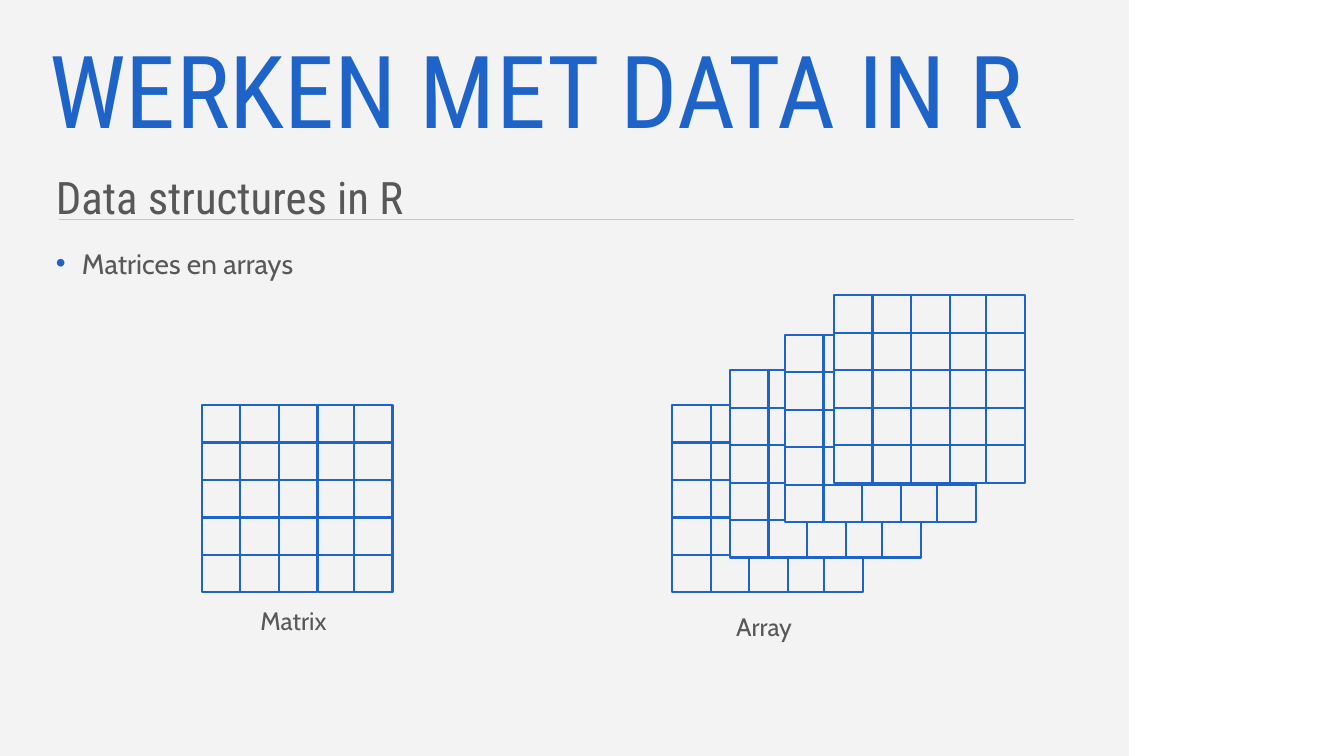
from lxml import etree
from pptx import Presentation
from pptx.dml.color import RGBColor
from pptx.enum.shapes import MSO_CONNECTOR, MSO_SHAPE
from pptx.enum.text import MSO_ANCHOR, PP_ALIGN
from pptx.oxml.ns import qn
from pptx.util import Pt

RECT = MSO_SHAPE.RECTANGLE
STRAIGHT = MSO_CONNECTOR.STRAIGHT
TOP, MIDDLE = MSO_ANCHOR.TOP, MSO_ANCHOR.MIDDLE
LEFT, CENTER = PP_ALIGN.LEFT, PP_ALIGN.CENTER

COLORS = {"panel": "F3F3F3", "rule": "C6C6C6", "text": "585858", "blue": "1E64C8"}
HEADING_FONT, BODY_FONT = "Roboto Condensed", "Cabin"

TITLE = "WERKEN MET DATA IN R"
SUBTITLE = "Data structures in R"
BULLET = "Matrices en arrays"
CAPTIONS = [("Matrix", 157.8, 428.8), ("Array", 493.9, 432.9)]

MATRIX = (144, 289.4)
ARRAY_LAYERS = [(480, 289.4), (521.4, 264.5), (560.7, 239.3), (595.7, 211)]
COLUMN_OFFSETS = [0, 27.6, 55.2, 82.9, 108.8]
ROWS = 5
CELL_W, CELL_H = 27.6, 26.75


def rgb(name):
    return RGBColor.from_string(COLORS[name])


def add_rect(x, y, w, h, line=None):
    sp = s.shapes.add_shape(RECT, Pt(x), Pt(y), Pt(w), Pt(h))
    sp.shadow.inherit = False
    sp.fill.solid()
    sp.fill.fore_color.rgb = rgb("panel")
    if line:
        sp.line.color.rgb = rgb(line)
        sp.line.width = Pt(1.5)
    else:
        sp.line.fill.background()


def add_grid(x, y):
    for dx in COLUMN_OFFSETS:
        for row in range(ROWS):
            add_rect(x + dx, y + row * CELL_H, CELL_W, CELL_H, "blue")


def add_bullet(p):
    pPr = p._p.get_or_add_pPr()
    pPr.set("marL", str(Pt(18.7)))
    pPr.set("indent", str(-Pt(18.7)))
    clr = etree.SubElement(pPr, qn("a:buClr"))
    etree.SubElement(clr, qn("a:srgbClr"), val=COLORS["blue"])
    etree.SubElement(pPr, qn("a:buFont"), typeface="Arial")
    etree.SubElement(pPr, qn("a:buChar"), char="•")


def add_text(text, x, y, w, h, size, font, color="text", spacing=1.0,
             align=LEFT, anchor=TOP, bullet=False):
    tf = s.shapes.add_textbox(Pt(x), Pt(y), Pt(w), Pt(h)).text_frame
    tf.word_wrap = True
    tf.vertical_anchor = anchor
    tf.text = text
    p = tf.paragraphs[0]
    p.alignment = align
    p.line_spacing = spacing
    if bullet:
        add_bullet(p)
    r = p.runs[0]
    r.font.size = Pt(size)
    r.font.name = font
    r.font.color.rgb = rgb(color)


prs = Presentation()
prs.slide_width, prs.slide_height = Pt(960), Pt(540)
s = prs.slides.add_slide(prs.slide_layouts[6])

add_rect(0, 0, 806.4, 540)
rule = s.shapes.add_connector(STRAIGHT, Pt(42.5), Pt(156.7), Pt(767.3), Pt(156.7))
rule.line.color.rgb = rgb("rule")
rule.line.width = Pt(0.5)
etree.SubElement(rule._element.spPr, qn("a:effectLst"))

add_text(SUBTITLE, 32.8, 110.2, 734.4, 51.1, 32, HEADING_FONT, spacing=1.2)
add_text(BULLET, 32.8, 167.8, 734.4, 372.2, 20, BODY_FONT, spacing=1.2, bullet=True)
add_text(TITLE, 28.1, 25.9, 738.7, 85.7, 72, HEADING_FONT, "blue", spacing=0.9,
         anchor=MIDDLE)

for x, y in [MATRIX, *ARRAY_LAYERS]:
    add_grid(x, y)
for caption, x, y in CAPTIONS:
    add_text(caption, x, y, 103.7, 28.8, 18, BODY_FONT, align=CENTER)

prs.save("out.pptx")
